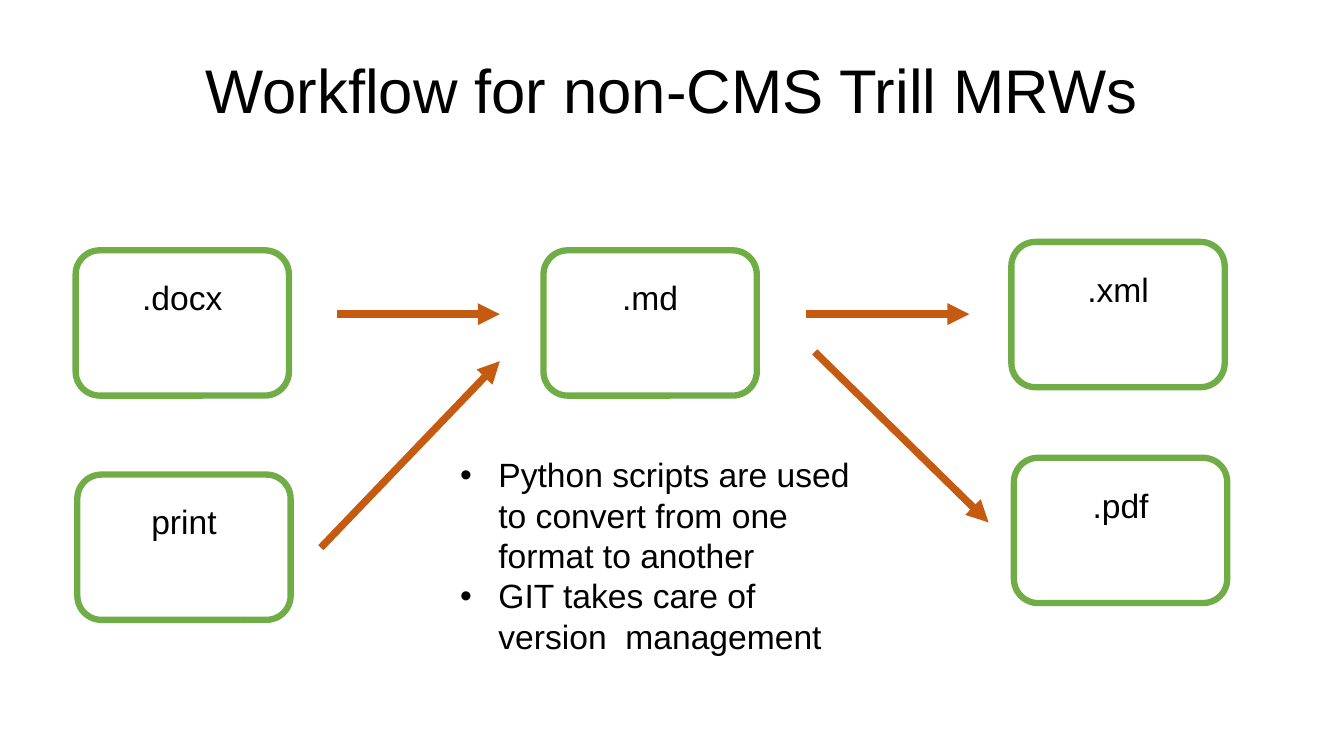
import pptx
import pptx.dml.color
import pptx.enum.shapes
import pptx.enum.text
import pptx.oxml
import pptx.oxml.ns
import pptx.util
from lxml import etree

COLORS = {"text": "000000", "box": "70AD47", "arrow": "C55A11"}
COLUMNS, ROWS = 16, 9
ALIGN = pptx.enum.text.PP_ALIGN
ANCHOR = pptx.enum.text.MSO_ANCHOR


def rgb(name):
    return pptx.dml.color.RGBColor.from_string(COLORS[name])


def add_xml(parent, tag, **attributes):
    return etree.SubElement(parent, pptx.oxml.ns.qn(tag), attributes)


def write(p, text, size=24, color="text", font="Arial", align=ALIGN.LEFT,
          spacing=1.0, bullet=None):
    if bullet:
        pPr = p._p.get_or_add_pPr()
        indent = pptx.util.Inches(0.38)
        pPr.set("marL", str(indent))
        pPr.set("indent", str(-indent))
        add_xml(pPr, "a:buFont", typeface=font)
        add_xml(pPr, "a:buChar", char=bullet)
    p.alignment = align
    p.line_spacing = spacing
    r = p.add_run()
    r.text = text
    r.font.name = font
    r.font.size = pptx.util.Pt(size)
    r.font.color.rgb = rgb(color)


class Diagram:
    """Draws on one slide; all lengths are grid columns and rows."""

    def __init__(self, prs):
        self.s = prs.slides.add_slide(prs.slide_layouts[6])
        self.column = prs.slide_width / COLUMNS
        self.row = prs.slide_height / ROWS
        self.box_size = (2.54, 1.73)
        self.label_inset = (0.36, 0.26)
        self.label_size = (1.82, 0.6)

    def grid(self, *lengths):
        """Turn alternating columns and rows into slide units."""
        return [round(n * (self.row if i % 2 else self.column))
                for i, n in enumerate(lengths)]

    def text(self, x, y, width, height, lines, anchor=ANCHOR.TOP, **style):
        tf = self.s.shapes.add_textbox(*self.grid(x, y, width, height)).text_frame
        tf.word_wrap = True
        tf.vertical_anchor = anchor
        for i, line in enumerate(lines):
            p = tf.add_paragraph() if i else tf.paragraphs[0]
            write(p, line, **style)

    def box(self, x, y, label):
        sp = self.s.shapes.add_shape(
            pptx.enum.shapes.MSO_SHAPE.ROUNDED_RECTANGLE,
            *self.grid(x, y, *self.box_size))
        sp.shadow.inherit = False
        sp.fill.background()
        sp.line.color.rgb = rgb("box")
        sp.line.width = pptx.util.Pt(4.5)
        dx, dy = self.label_inset
        self.text(x + dx, y + dy, *self.label_size, [label], align=ALIGN.CENTER)

    def arrow(self, x1, y1, x2, y2):
        sp = self.s.shapes.add_connector(
            pptx.enum.shapes.MSO_CONNECTOR.STRAIGHT, *self.grid(x1, y1, x2, y2))
        sp.line.color.rgb = rgb("arrow")
        sp.line.width = pptx.util.Pt(5.25)
        add_xml(sp.line._get_or_add_ln(), "a:tailEnd", type="triangle")
        add_xml(sp._element.spPr, "a:effectLst")


def main():
    prs = pptx.Presentation()
    prs.slide_width = pptx.util.Inches(13.33)
    prs.slide_height = pptx.util.Inches(7.5)
    diagram = Diagram(prs)

    # Title
    diagram.text(1.1, 0.48, 13.8, 1.26, ["Workflow for non-CMS Trill MRWs"],
                 anchor=ANCHOR.MIDDLE, size=44, align=ALIGN.CENTER, spacing=0.9)

    # File formats: sources, hub and outputs
    for x, y, label in [(0.9, 2.98, ".docx"), (0.92, 5.65, "print"),
                        (6.47, 2.98, ".md"),
                        (12.04, 2.88, ".xml"), (12.07, 5.45, ".pdf")]:
        diagram.box(x, y, label)

    # Conversions into and out of the hub
    for ends in [(4.01, 3.74, 5.95, 3.74), (3.82, 6.52, 5.95, 4.3),
                 (9.59, 3.74, 11.54, 3.74), (9.7, 4.19, 11.77, 6.22)]:
        diagram.arrow(*ends)

    # Remarks
    diagram.text(5.36, 5.35, 4.98, 2.54,
                 ["Python scripts are used to convert from one format to another",
                  "GIT takes care of version  management"], bullet="•")

    prs.save("out.pptx")


if __name__ == "__main__":
    main()
